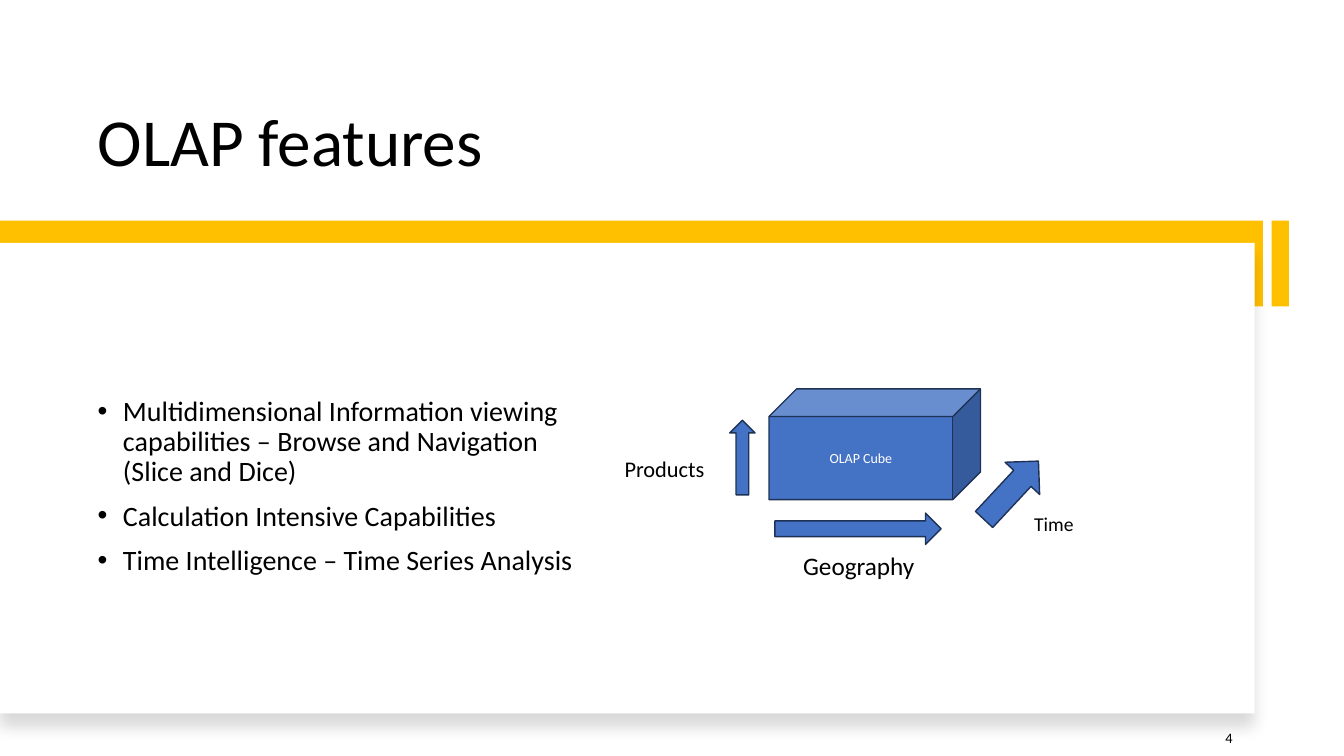
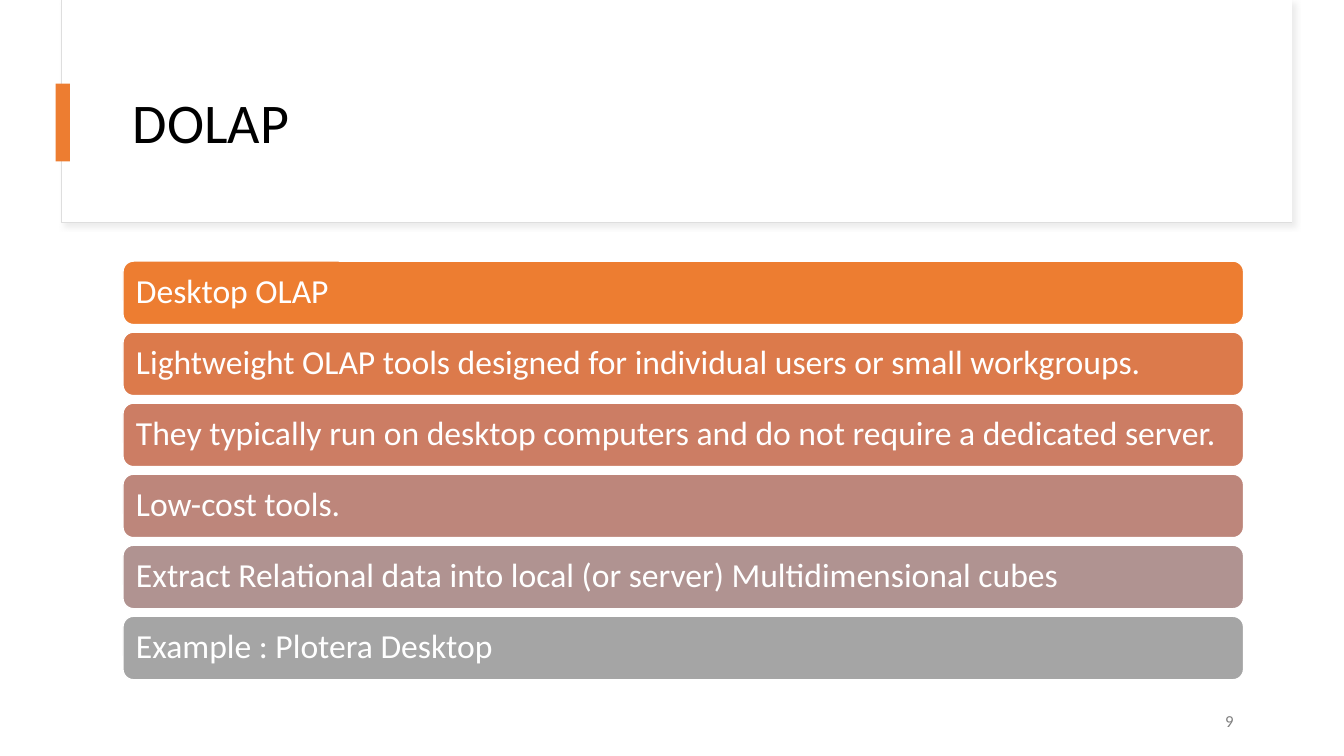
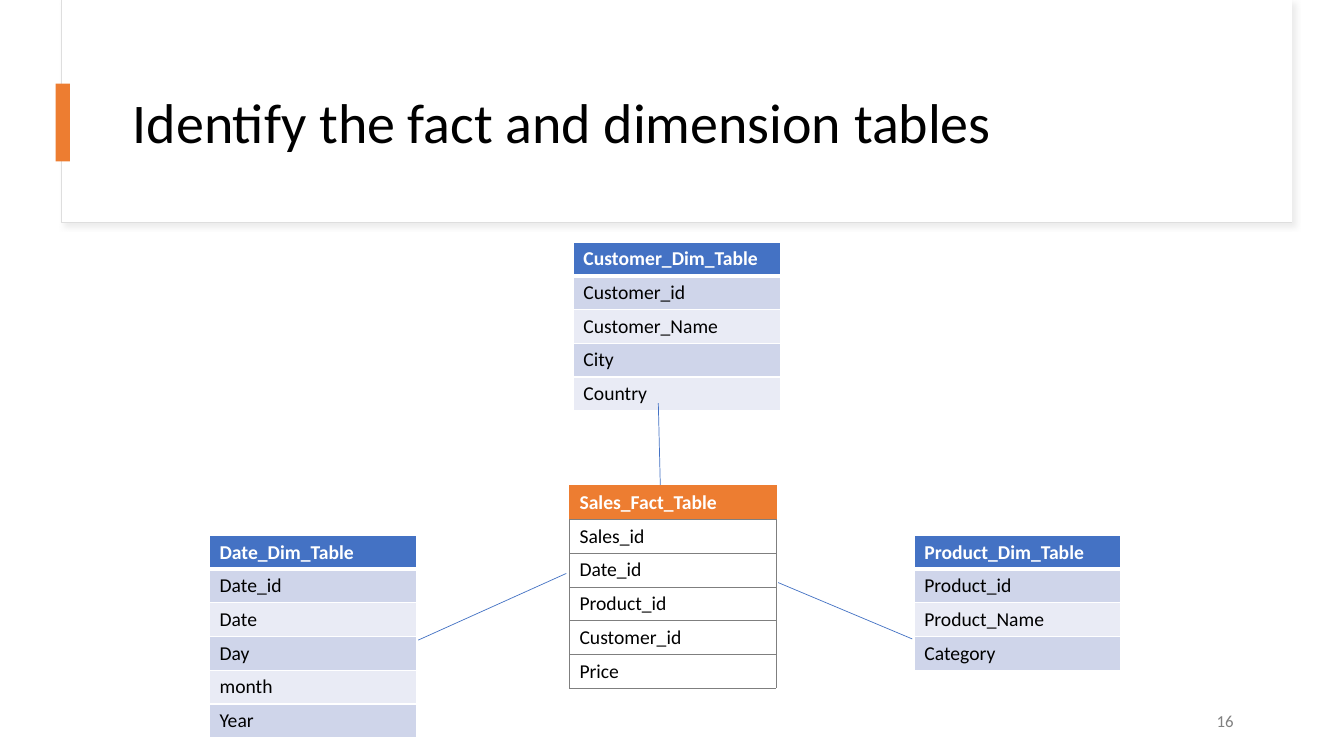
from lxml.etree import SubElement
from pptx import Presentation
from pptx.dml.color import RGBColor
from pptx.enum.shapes import MSO_CONNECTOR, MSO_SHAPE as Shape
from pptx.enum.text import MSO_ANCHOR as Anchor, PP_ALIGN as Align
from pptx.oxml.ns import qn
from pptx.util import Cm, Pt

FONT = "Calibri"
COLORS = {
    "black": "000000", "white": "FFFFFF", "yellow": "FFC000", "orange": "ED7D31",
    "blue": "4472C4", "navy": "1E3256", "frame": "DEDEDE", "shade": "D9D9D9",
    "number": "808080", "grid": "7F7F7F", "band_dark": "CFD5EA", "band_light": "E9EBF5",
    "bar_2": "DC7A4B", "bar_3": "CC7D64", "bar_4": "BD867B", "bar_5": "B09391",
    "bar_6": "A5A5A5",
}

FEATURES = [
    "Multidimensional Information viewing capabilities – Browse and Navigation (Slice and Dice)",
    "Calculation Intensive Capabilities",
    "Time Intelligence – Time Series Analysis",
]
CUBE_ARROWS = [
    (Shape.UP_ARROW, (18.39, 10.59, 0.64, 1.88), 0),
    (Shape.RIGHT_ARROW, (19.53, 12.93, 4.19, 0.79), 0),
    (Shape.UP_ARROW, (24.89, 11.35, 1.19, 2.01), 43),
]
CUBE_LABELS = [
    ("Products", (15.49, 11.35, 2.95, 0.94), 16),
    ("Geography", (19.99, 13.74, 3.61, 1.02), 18),
    ("Time", (25.81, 12.78, 2.13, 0.86), 14),
]
DOLAP_BARS = [
    ("Desktop OLAP", "orange"),
    ("Lightweight OLAP tools designed for individual users or small workgroups.", "bar_2"),
    ("They typically run on desktop computers and do not require a dedicated server.", "bar_3"),
    ("Low-cost tools.", "bar_4"),
    ("Extract Relational data into local (or server) Multidimensional cubes", "bar_5"),
    ("Example : Plotera Desktop", "bar_6"),
]
FACT_TABLE = ((14.35, 12.24), ["Sales_Fact_Table", "Sales_id", "Date_id", "Product_id",
                               "Customer_id", "Price"])
DIMENSION_TABLES = [
    ((5.28, 13.49), ["Date_Dim_Table", "Date_id", "Date", "Day", "month", "Year"]),
    ((23.04, 13.49), ["Product_Dim_Table", "Product_id", "Product_Name", "Category"]),
    ((14.45, 6.1), ["Customer_Dim_Table", "Customer_id", "Customer_Name", "City", "Country"]),
]
TABLE_LINKS = [
    (16.59, 10.16, 16.64, 12.22),
    (10.54, 16.13, 14.27, 14.45),
    (19.61, 14.68, 22.99, 16.1),
]


def color(name):
    return RGBColor.from_string(COLORS[name])


def write_text(frame, text, size=14, ink="black", bold=False, align=Align.LEFT,
               anchor=Anchor.TOP, line_spacing=None, space_before=0, bullet=False):
    frame.word_wrap = True
    frame.vertical_anchor = anchor
    lines = [text] if isinstance(text, str) else text
    for index, line in enumerate(lines):
        paragraph = frame.add_paragraph() if index else frame.paragraphs[0]
        paragraph.alignment = align
        paragraph.line_spacing = line_spacing
        paragraph.space_before = Pt(space_before)
        run = paragraph.add_run()
        run.text = line
        run.font.name = FONT
        run.font.size = Pt(size)
        run.font.bold = bold
        run.font.color.rgb = color(ink)
        if bullet:
            properties = paragraph._p.get_or_add_pPr()
            properties.set("marL", str(Cm(0.64)))
            properties.set("indent", str(-Cm(0.64)))
            SubElement(properties, qn("a:buFont"), typeface="Arial")
            SubElement(properties, qn("a:buChar"), char="•")


def add_text(slide, box, text, **style):
    shape = slide.shapes.add_textbox(*map(Cm, box))
    write_text(shape.text_frame, text, **style)


def add_box(slide, kind, box, fill, line=None, width=1.0):
    shape = slide.shapes.add_shape(kind, *map(Cm, box))
    shape.shadow.inherit = False
    shape.fill.solid()
    shape.fill.fore_color.rgb = color(fill)
    if line:
        shape.line.color.rgb = color(line)
        shape.line.width = Pt(width)
    else:
        shape.line.fill.background()
    return shape


def add_shadow(shape, ink, alpha, blur, distance, angle):
    effects = shape._element.spPr.find(qn("a:effectLst"))
    shadow = SubElement(effects, qn("a:outerShdw"), blurRad=str(Pt(blur)),
                        dist=str(Pt(distance)), dir=str(angle * 60000),
                        algn="tl", rotWithShape="0")
    tone = SubElement(shadow, qn("a:srgbClr"), val=COLORS[ink])
    SubElement(tone, qn("a:alpha"), val=str(alpha * 1000))


def add_header(slide, title, number):
    frame = add_box(slide, Shape.RECTANGLE, (1.55, 0, 31.01, 5.61), "white", "frame", 0.75)
    add_shadow(frame, "shade", 50, 4, 3, 45)
    add_box(slide, Shape.RECTANGLE, (1.57, 0, 30.99, 5.59), "white")
    add_box(slide, Shape.RECTANGLE, (1.4, 2.11, 0.36, 1.96), "orange")
    add_text(slide, (3.1, 1.52, 28.24, 3.28), title, size=40, line_spacing=0.9,
             anchor=Anchor.MIDDLE)
    add_text(slide, (23.72, 17.65, 7.62, 1.02), number, size=12, ink="number",
             align=Align.RIGHT, anchor=Anchor.MIDDLE)


def set_borders(cell, ink, widths):
    properties = cell._tc.get_or_add_tcPr()
    for side, width in zip("LRTB", widths):
        border = SubElement(properties, qn(f"a:ln{side}"), w=str(Pt(width)))
        fill = SubElement(border, qn("a:solidFill"))
        SubElement(fill, qn("a:srgbClr"), val=COLORS[ink])


def add_schema(slide, position, names, header, bands, edges, edge_width, rule_width):
    row_height = Cm(0.85)
    left, top = map(Cm, position)
    table = slide.shapes.add_table(len(names), 1, left, top, Cm(5.21),
                                   row_height * len(names)).table
    table.first_row = table.horz_banding = False
    for index, name in enumerate(names):
        table.rows[index].height = row_height
        cell = table.cell(index, 0)
        is_header = index == 0
        set_borders(cell, edges[0 if is_header else 1], (
            edge_width, edge_width,
            rule_width if index == 1 else edge_width,
            rule_width if is_header else edge_width))
        cell.fill.solid()
        cell.fill.fore_color.rgb = color(header if is_header else bands[(index - 1) % 2])
        write_text(cell.text_frame, name, bold=is_header,
                   ink="white" if is_header else "black")


def add_link(slide, ends):
    link = slide.shapes.add_connector(MSO_CONNECTOR.STRAIGHT, *map(Cm, ends))
    link.line.color.rgb = color("blue")
    link.line.width = Pt(0.5)
    SubElement(link._element.spPr, qn("a:effectLst"))


def build_features(slide):
    add_text(slide, (2.21, 1.07, 27.97, 3.61), "OLAP features", size=48,
             line_spacing=0.9, anchor=Anchor.BOTTOM)
    for left, width in [(0, 31.83), (32.05, 0.43)]:
        add_box(slide, Shape.RECTANGLE, (left, 5.56, width, 2.16), "yellow")
    card = add_box(slide, Shape.RECTANGLE, (0, 6.12, 31.62, 11.86), "white")
    add_shadow(card, "black", 15, 11, 10, 90)
    add_text(slide, (2.21, 7.21, 12.6, 10.11), FEATURES, size=20, line_spacing=0.9,
             space_before=10, bullet=True, anchor=Anchor.MIDDLE)
    add_text(slide, (30.63, 18.24, 2.06, 0.56), "4", size=10.3)
    cube = add_box(slide, Shape.CUBE, (19.38, 9.8, 5.33, 2.79), "blue", "navy")
    write_text(cube.text_frame, "OLAP Cube", size=10, ink="white", align=Align.CENTER,
               anchor=Anchor.MIDDLE)
    for kind, box, rotation in CUBE_ARROWS:
        add_box(slide, kind, box, "blue", "navy").rotation = rotation
    for text, box, size in CUBE_LABELS:
        add_text(slide, box, text, size=size)


def build_dolap(slide):
    add_header(slide, "DOLAP", "9")
    for index, (text, fill) in enumerate(DOLAP_BARS):
        bar = add_box(slide, Shape.ROUNDED_RECTANGLE,
                      (3.1, 6.58 + 1.79 * index, 28.24, 1.6), fill, "white")
        write_text(bar.text_frame, text, size=24, ink="white", line_spacing=0.9,
                   anchor=Anchor.MIDDLE)


def build_schema(slide):
    add_header(slide, "Identify the fact and dimension tables", "16")
    add_schema(slide, *FACT_TABLE, "orange", ("white", "white"), ("orange", "grid"), 0.5, 0.5)
    for position, names in DIMENSION_TABLES:
        add_schema(slide, position, names, "blue", ("band_dark", "band_light"),
                   ("white", "white"), 1, 3)
    for ends in TABLE_LINKS:
        add_link(slide, ends)


def main():
    presentation = Presentation()
    presentation.slide_width = Cm(33.87)
    presentation.slide_height = Cm(19.05)
    for build in (build_features, build_dolap, build_schema):
        build(presentation.slides.add_slide(presentation.slide_layouts[6]))
    presentation.save("out.pptx")


if __name__ == "__main__":
    main()
